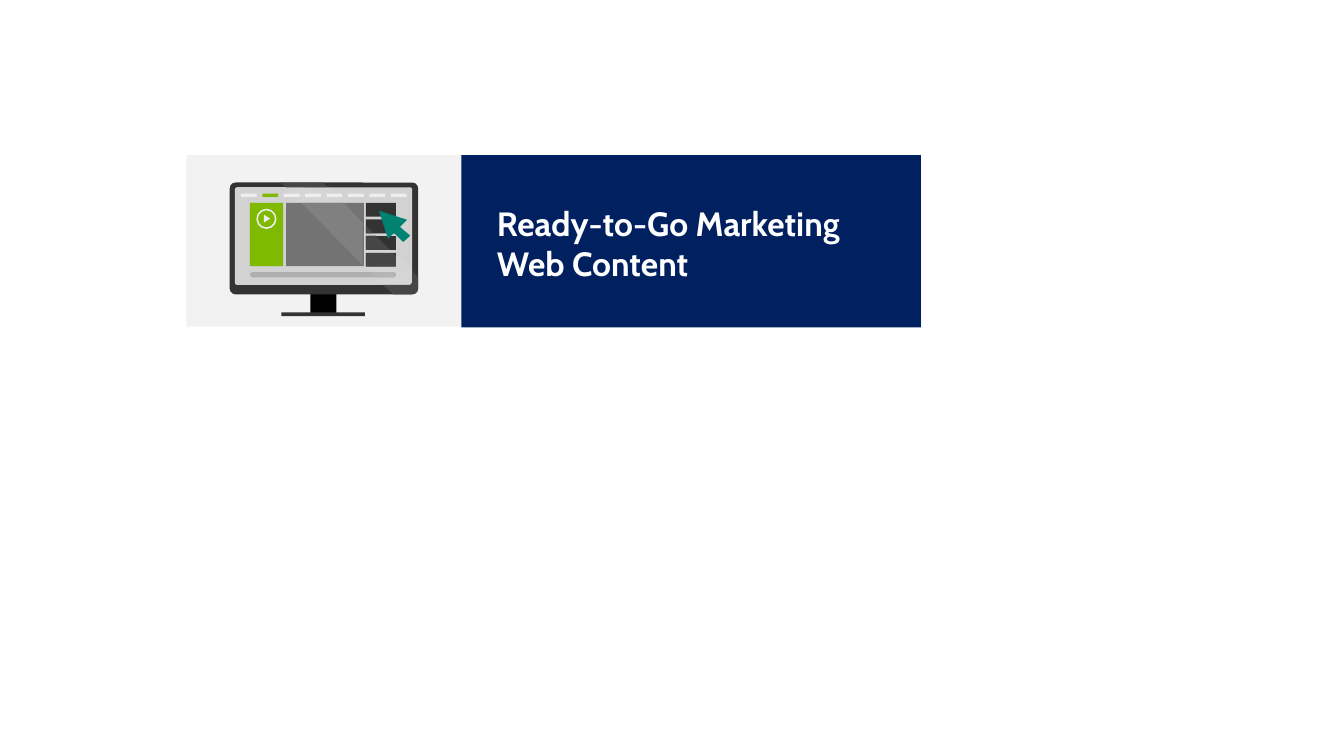
from pptx import Presentation
from pptx.dml.color import RGBColor as Rgb
from pptx.enum.shapes import MSO_SHAPE as Kind
from pptx.enum.text import MSO_ANCHOR as Anchor, MSO_AUTO_SIZE as Fit, PP_ALIGN as Align
from pptx.util import Cm, Pt

WHITE = Rgb(0xFF, 0xFF, 0xFF)
PALE = Rgb(0xF2, 0xF2, 0xF2)
NAVY = Rgb(0x00, 0x20, 0x60)
BLACK = Rgb(0, 0, 0)
DARK = Rgb(0x33, 0x33, 0x33)
GLINT = Rgb(0x46, 0x46, 0x46)
SCREEN = Rgb(0xD2, 0xD2, 0xD2)
SHEEN = Rgb(0xD5, 0xD5, 0xD5)
GREEN = Rgb(0x7F, 0xBA, 0x00)
GREY = Rgb(0x73, 0x73, 0x73)
LIGHT = Rgb(0x80, 0x80, 0x80)
BAR = Rgb(0xAF, 0xAF, 0xAF)
GLOSS = Rgb(0xB5, 0xB5, 0xB5)
MIST = Rgb(0xEE, 0xEE, 0xEE)
TEAL = Rgb(0x00, 0x82, 0x72)

TITLE = "Ready-to-Go Marketing Web Content"
TITLE_BOX = (12.27, 4.98, 10.92, 2.31)

BASE = [
    ((4.7, 3.91, 18.52, 4.32), PALE, 0),
    ((11.63, 3.91, 11.58, 4.34), NAVY, 0),
    ((7.82, 7.26, 0.66, 0.66), BLACK, 0),
    ((7.09, 7.87, 2.11, 0.1), DARK, 0),
    ((5.79, 4.6, 4.75, 2.82), DARK, 0.15),
    ((5.92, 4.72, 4.47, 2.46), SCREEN, 0.06),
]
SHINE = [
    (SHEEN, [(7.21, 4.72), (8.26, 4.72), (10.39, 6.83), (10.39, 7.12),
             (10.33, 7.18), (9.65, 7.18)]),
    (GLINT, [(7.06, 4.6), (8.13, 4.6), (8.26, 4.72), (7.21, 4.72)]),
    (GLINT, [(10.39, 6.83), (10.54, 6.98), (10.54, 7.26), (10.49, 7.37), (10.36, 7.42),
             (9.91, 7.42), (9.65, 7.18), (10.33, 7.18), (10.39, 7.12)]),
]
PAGE = [
    ((6.3, 5.11, 0.84, 1.6), GREEN, 0),
    ((7.21, 5.11, 1.96, 1.6), GREY, 0),
    ((6.3, 6.86, 3.68, 0.13), BAR, 0.065),
]
TILES = [((9.22, 5.11 + 0.42 * i, 0.76, 0.35), DARK, 0) for i in range(4)]
TABS = [((6.07 + 0.54 * i, 4.88, 0.4, 0.08), GREEN if i == 1 else MIST, 0)
        for i in range(8)]
RING = (6.48, 5.28, 0.47, 0.47)
DETAIL = [
    (MIST, [(6.65, 5.41), (6.81, 5.51), (6.65, 5.61)]),
    (LIGHT, [(7.59, 5.11), (8.66, 5.11), (9.14, 5.61), (9.14, 6.68)]),
    (GLINT, [(9.22, 5.69), (9.42, 5.88), (9.22, 5.88)]),
    (GLINT, [(9.22, 5.94), (9.47, 5.94), (9.83, 6.3), (9.22, 6.3)]),
    (GLINT, [(9.22, 6.38), (9.91, 6.38), (9.98, 6.45), (9.98, 6.71), (9.22, 6.71)]),
    (GLOSS, [(9.35, 6.86), (9.91, 6.86), (9.98, 6.93), (9.91, 6.99), (9.47, 6.99)]),
    (TEAL, [(10.34, 5.94), (10.08, 5.72), (10.26, 5.54), (9.55, 5.31),
            (9.78, 6.02), (9.93, 5.87), (10.16, 6.1)]),
]


def paint(shape, color):
    """Give a shape a plain fill without line or shadow."""
    shape.shadow.inherit = False
    shape.fill.solid()
    shape.fill.fore_color.rgb = color
    shape.line.fill.background()


def blocks(shapes, items):
    """Draw rectangles, rounded where a radius is given."""
    for box, color, radius in items:
        kind = Kind.ROUNDED_RECTANGLE if radius else Kind.RECTANGLE
        shape = shapes.add_shape(kind, *map(Cm, box))
        if radius:
            shape.adjustments[0] = radius / min(box[2:])
        paint(shape, color)


def outlines(shapes, items):
    """Draw closed polygons."""
    for color, dots in items:
        first, *rest = [(Cm(x), Cm(y)) for x, y in dots]
        pen = shapes.build_freeform(*first)
        pen.add_line_segments(rest)
        paint(pen.convert_to_shape(), color)


def ring(shapes):
    """Draw the circle around the play mark."""
    shape = shapes.add_shape(Kind.OVAL, *map(Cm, RING))
    shape.shadow.inherit = False
    shape.fill.background()
    shape.line.color.rgb = MIST
    shape.line.width = Pt(1.1)


def heading(title):
    """Place and format the title in front of the banner."""
    title.left, title.top, title.width, title.height = map(Cm, TITLE_BOX)
    title.element.getparent().append(title.element)
    frame = title.text_frame
    frame.text = TITLE
    frame.word_wrap = True
    frame.auto_size = Fit.SHAPE_TO_FIT_TEXT
    frame.vertical_anchor = Anchor.TOP
    para = frame.paragraphs[0]
    para.alignment = Align.LEFT
    para.line_spacing = 1.0
    font = para.font
    font.name, font.size, font.bold = "Cabin", Pt(24), True
    font.color.rgb = WHITE


def main():
    """Build the banner slide."""
    deck = Presentation()
    deck.slide_width, deck.slide_height = Cm(33.87), Cm(19.05)
    slide = deck.slides.add_slide(deck.slide_layouts[5])
    shapes = slide.shapes
    blocks(shapes, BASE)
    outlines(shapes, SHINE)
    blocks(shapes, PAGE + TILES + TABS)
    ring(shapes)
    outlines(shapes, DETAIL)
    heading(shapes.title)
    deck.save("out.pptx")


if __name__ == "__main__":
    main()
